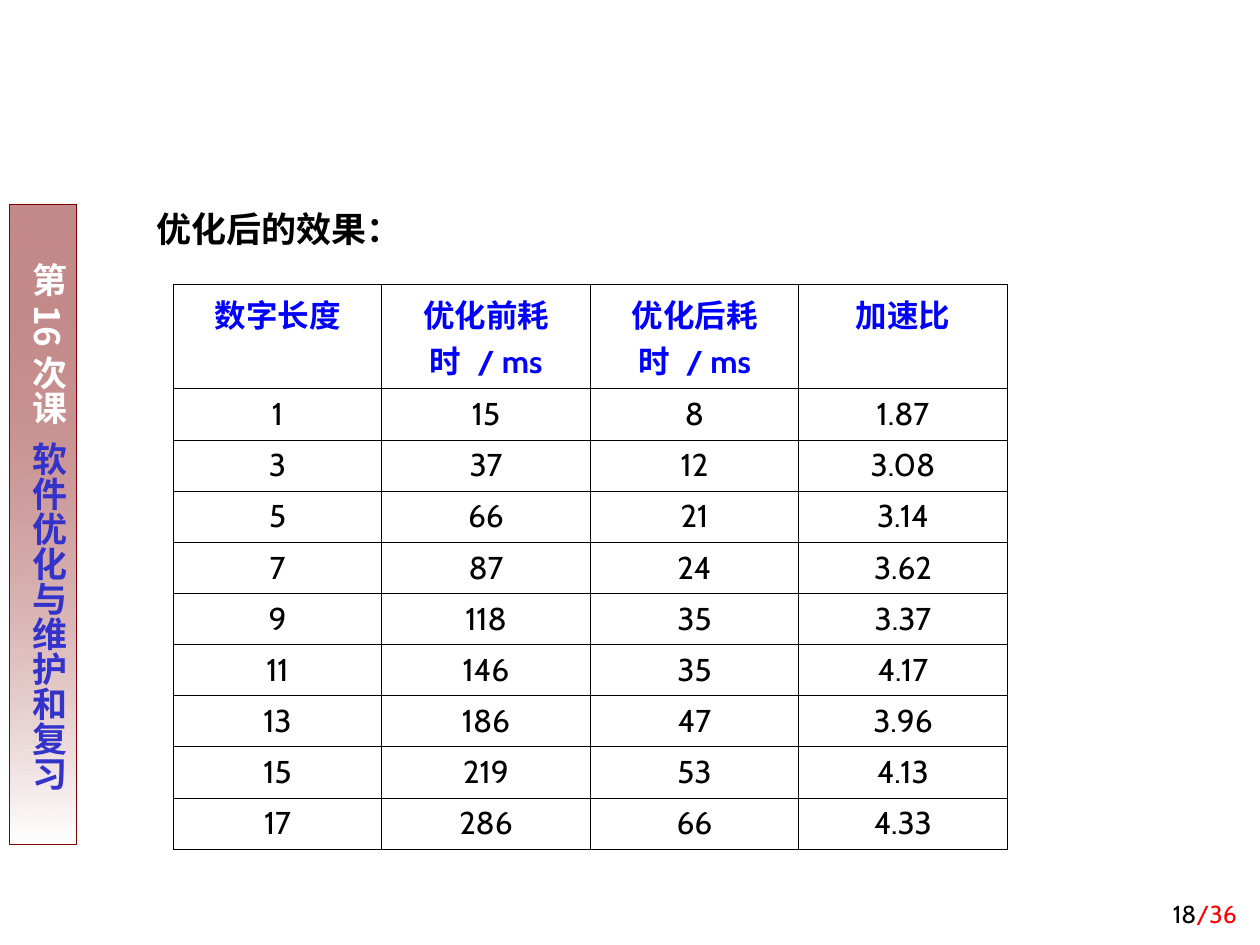
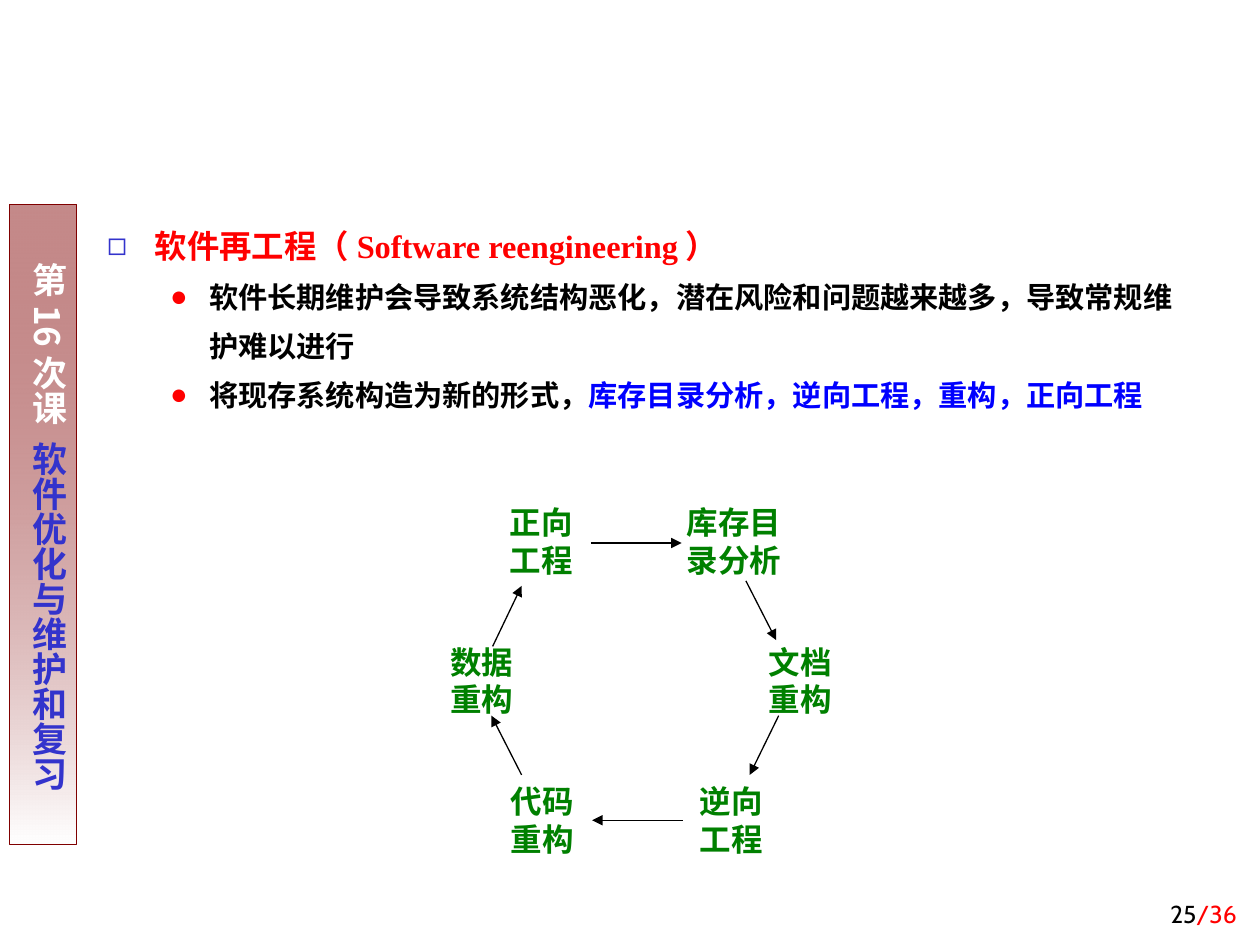
from pptx import Presentation
from pptx.dml.color import RGBColor
from pptx.enum.shapes import MSO_CONNECTOR as Link, MSO_SHAPE as Form
from pptx.enum.text import MSO_ANCHOR as Anchor, MSO_AUTO_SIZE as Fit, PP_ALIGN as Align
from pptx.oxml.ns import qn
from pptx.util import Inches, Pt
from lxml.etree import SubElement as Sub

rgb = RGBColor.from_string
BLACK, WHITE, RED, BLUE, GREEN = "000000", "FFFFFF", "FF0000", "0000FF", "008000"
MAROON, INDIGO = "800000", "3333CC"
CABIN, HAN, TIMES = "Cabin", "Noto Sans CJK SC", "Times New Roman"
LEAD = 1.4


def grid(*cells):
    """Turn cells of the 100 by 75 slide grid into lengths."""
    return [Inches(n / 10) for n in cells]


def say(para, text, size, color, font=CABIN, bold=True):
    run = para.add_run()
    run.text = text
    run.font.size, run.font.bold, run.font.name = Pt(size), bold, font
    run.font.color.rgb = rgb(color)
    Sub(run.font._element, qn("a:ea"), typeface=HAN)
    return run


deck = Presentation()
deck.slide_width, deck.slide_height = grid(100, 75)

# Shared parts: side band, page number, body placeholder
pages = []
for num, area in (("18", (11.4, 14.6, 76.4, 5.6)), ("25", (7.5, 16.2, 87.4, 21.3))):
    slide = deck.slides.add_slide(deck.slide_layouts[1])
    title = slide.shapes.title._element
    title.getparent().remove(title)

    band = slide.shapes.add_shape(Form.RECTANGLE, *grid(0.75, 16.23, 5.3, 50.8))
    band.shadow.inherit = False
    band.line.color.rgb, band.line.width = rgb(MAROON), Pt(0.75)
    band.fill.gradient()
    band.fill.gradient_angle = 270
    for stop, color in zip(band.fill.gradient_stops, (MAROON, WHITE)):
        stop.color.rgb = rgb(color)
    first = next(band._element.iter(qn("a:gs")))
    Sub(first[0], qn("a:alpha"), val="46000")
    frame = band.text_frame
    frame.margin_left, frame.margin_top, frame.margin_right, frame.margin_bottom = grid(0.5, 4.6, 0.5, 1)
    frame.vertical_anchor, frame.word_wrap = Anchor.TOP, True
    frame._txBody.bodyPr.set("vert", "eaVert")
    para = frame.paragraphs[0]
    para.alignment = Align.LEFT
    say(para, "第16次课", 20, WHITE, HAN)
    gap = say(para, " ", 20, WHITE, HAN)
    gap.font._element.set("spc", "450")
    say(para, "软件优化与维护和复习", 20, INDIGO, HAN)

    foot = slide.shapes.add_textbox(*grid(78.35, 69.2, 20.8, 5)).text_frame
    foot.word_wrap, foot.vertical_anchor = True, Anchor.BOTTOM
    para = foot.paragraphs[0]
    para.alignment = Align.RIGHT
    say(para, num, 14, BLACK, bold=False)
    say(para, "/36", 14, RED, bold=False)

    body = slide.placeholders[1]
    body.left, body.top, body.width, body.height = grid(*area)
    body.text_frame.auto_size = Fit.NONE
    pages.append((slide, body.text_frame))

# Slide 1: lead line
slide, body = pages[0]
para = body.paragraphs[0]
para.line_spacing, para.space_before = LEAD, Pt(0)
props = para._p.get_or_add_pPr()
props.set("marL", "0")
props.set("indent", "0")
Sub(props, qn("a:buNone"))
say(para, "优化后的效果：", 20, BLACK, TIMES)

# Slide 1: timing table
rows = [
    ("数字长度", "优化前耗时 / ms", "优化后耗时 / ms", "加速比"),
    ("1", "15", "8", "1.87"),
    ("3", "37", "12", "3.08"),
    ("5", "66", "21", "3.14"),
    ("7", "87", "24", "3.62"),
    ("9", "118", "35", "3.37"),
    ("11", "146", "35", "4.17"),
    ("13", "186", "47", "3.96"),
    ("15", "219", "53", "4.13"),
    ("17", "286", "66", "4.33"),
]
table = slide.shapes.add_table(len(rows), 4, *grid(13.75, 22.6, 66.2, 44.8)).table
table.first_row = table.horz_banding = False
for r, row in enumerate(rows):
    head = r == 0
    table.rows[r].height = grid(8.26 if head else 4.06)[0]
    for c, text in enumerate(row):
        cell = table.cell(r, c)
        props = cell._tc.get_or_add_tcPr()
        for side in ("lnL", "lnR", "lnT", "lnB"):
            edge = Sub(props, qn("a:" + side), w=str(Pt(0.45)))
            Sub(Sub(edge, qn("a:solidFill")), qn("a:srgbClr"), val=BLACK)
        cell.fill.solid()
        cell.fill.fore_color.rgb = rgb(WHITE)
        para = cell.text_frame.paragraphs[0]
        para.alignment = Align.CENTER
        say(para, text, 18, BLUE if head else BLACK, bold=head)

# Slide 2: bullets as level, margin, hang, mark, mark colour, size, runs
slide, body = pages[1]
points = [
    (0, 3.8, 3.8, "◻", INDIGO, 18.5, [("软件再工程（Software reengineering）", RED)]),
    (1, 8.1, 3.1, "●", RED, 16.7,
     [("软件长期维护会导致系统结构恶化，潜在风险和问题越来越多，导致常规维护难以进行", BLACK)]),
    (1, 8.1, 3.1, "●", RED, 16.7,
     [("将现存系统构造为新的形式，", BLACK), ("库存目录分析，逆向工程，重构，正向工程", BLUE)]),
]
for i, (level, left, hang, mark, tint, size, runs) in enumerate(points):
    para = body.add_paragraph() if i else body.paragraphs[0]
    para.level, para.line_spacing, para.space_before = level, LEAD, Pt(0)
    props = para._p.get_or_add_pPr()
    left, hang = grid(left, hang)
    props.set("marL", str(left))
    props.set("indent", str(-hang))
    Sub(Sub(props, qn("a:buClr")), qn("a:srgbClr"), val=tint)
    Sub(props, qn("a:buChar"), char=mark)
    for text, color in runs:
        say(para, text, size, color, TIMES)

# Slide 2: cycle steps as text, centre, row, width
top, pitch, tall = 40.2, 11.05, 5.5
steps = [
    ("正向工程", 42.95, 0, 7.9), ("库存目录分析", 58.25, 0, 11.7),
    ("文档重构", 63.5, 1, 7.9), ("逆向工程", 58.05, 2, 7.9),
    ("代码重构", 43.05, 2, 7.9), ("数据重构", 38.25, 1, 7.9),
]
for text, mid, row, wide in steps:
    node = slide.shapes.add_textbox(*grid(mid - wide / 2, top + row * pitch, wide, tall)).text_frame
    node.word_wrap, node.vertical_anchor = True, Anchor.MIDDLE
    para = node.paragraphs[0]
    para.alignment = Align.CENTER
    say(para, text, 18, GREEN)

# Slide 2: arrows, clockwise from the top
arrows = [
    (46.9, 43.1, 54.1, 43.1), (59.2, 46.1, 61.6, 50.8), (61.8, 56.8, 59.5, 61.5),
    (54.2, 65.1, 47, 65.1), (41.4, 61.5, 39, 56.8), (39.1, 51.3, 41.4, 46.5),
]
for ends in arrows:
    line = slide.shapes.add_connector(Link.STRAIGHT, *grid(*ends))
    line.line.color.rgb, line.line.width = rgb(BLACK), Pt(0.75)
    Sub(line.line._get_or_add_ln(), qn("a:tailEnd"), type="triangle")
    Sub(line._element.spPr, qn("a:effectLst"))

deck.save("out.pptx")
